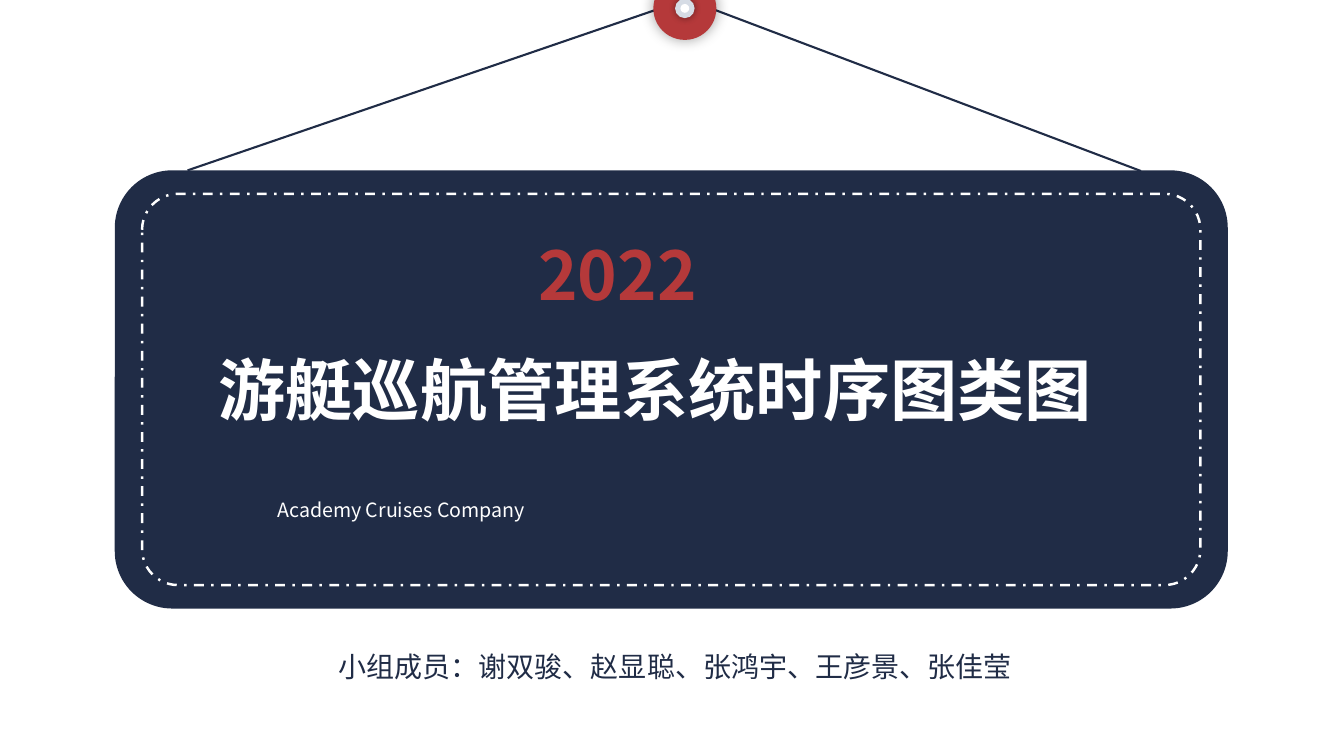
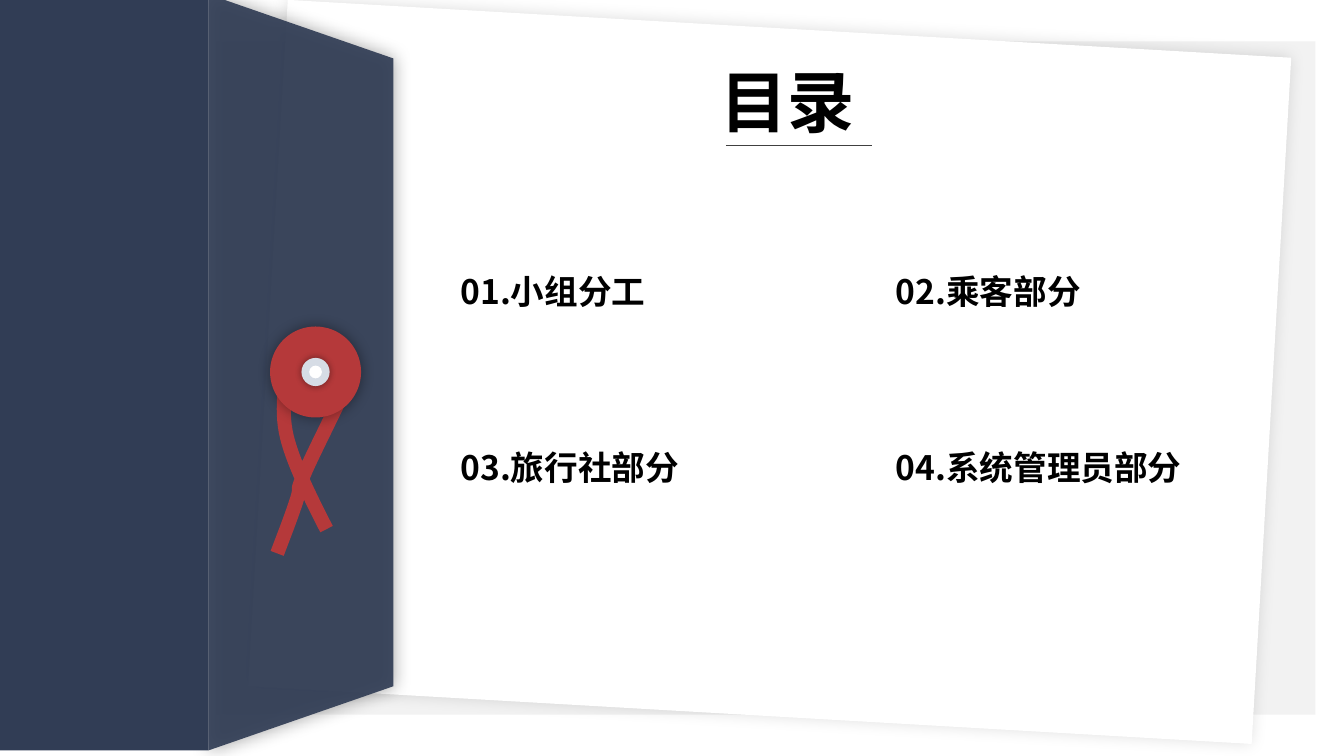
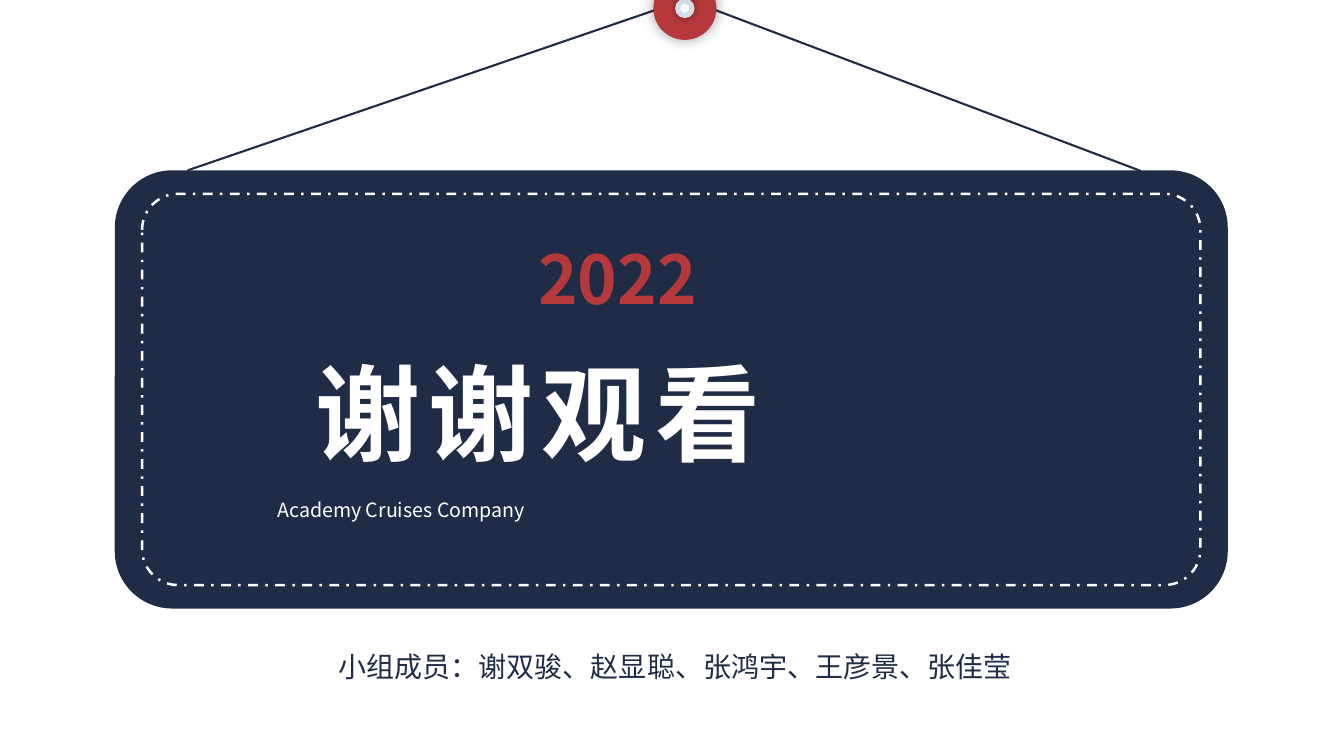
from lxml.etree import SubElement
from pptx import Presentation
from pptx.dml.color import RGBColor
from pptx.enum.dml import MSO_LINE_DASH_STYLE as DASH
from pptx.enum.shapes import MSO_CONNECTOR as CONNECTOR, MSO_SHAPE as SHAPE
from pptx.enum.text import MSO_AUTO_SIZE as AUTO_SIZE, PP_ALIGN as ALIGN
from pptx.oxml.ns import qn
from pptx.util import Pt

NAVY = RGBColor(0x20, 0x2C, 0x46)
FOLDER = RGBColor(0x31, 0x3D, 0x55)
RED = RGBColor(0xB5, 0x39, 0x3A)
SILVER = RGBColor(0xD6, 0xDC, 0xE5)
PALE = RGBColor(0xF2, 0xF2, 0xF2)
RULE = RGBColor(0x40, 0x40, 0x40)
WHITE = RGBColor(0xFF, 0xFF, 0xFF)
BLACK = RGBColor(0, 0, 0)
FONT = "Noto Sans CJK SC"
MEMBERS = "小组成员：谢双骏、赵显聪、张鸿宇、王彦景、张佳莹"
CHAPTERS = ["小组分工", "乘客部分", "旅行社部分", "系统管理员部分"]
STRING_START = (7.9, 112.3)
STRING_CURVES = [
    ((-3.6, 90), (-14.4, 67.7), (-19.4, 50.4)),
    ((-24.5, 33.1), (-22.3, 18.7), (-21.6, 6.5)),
    ((-20.9, -5), (-20.2, -16.6), (-14.4, -20.2)),
    ((-8.6, -24.5), (6.5, -20.2), (13, -17.3)),
    ((19.4, -14.4), (22.3, -7.9), (23.8, -2.9)),
    ((24.5, 2.9), (24.5, 2.2), (19.4, 15.1)),
    ((13.7, 28.1), (-3.6, 61.9), (-8.6, 74.2)),
    ((-14.4, 87.1), (-10.1, 80.6), (-13, 90)),
    ((-15.8, 99.4), (-21.6, 114.5), (-27.4, 129.6)),
]


def add_box(slide, kind, box, fill=None, adjust=None, shadow=None):
    """Add a preset shape without outline; shadow is (opacity %, blur)."""
    shape = slide.shapes.add_shape(kind, *map(Pt, box))
    shape.shadow.inherit = False
    shape.line.fill.background()
    if fill is None:
        shape.fill.background()
    else:
        shape.fill.solid()
        shape.fill.fore_color.rgb = fill
    if adjust is not None:
        shape.adjustments[0] = adjust
    if shadow:
        opacity, blur = shadow
        effects = shape._element.spPr.find(qn("a:effectLst"))
        outer = SubElement(effects, qn("a:outerShdw"), blurRad=str(Pt(blur)),
                           dist="0", dir="0", algn="ctr", rotWithShape="0")
        color = SubElement(outer, qn("a:srgbClr"), val=str(BLACK))
        SubElement(color, qn("a:alpha"), val=str(opacity * 1000))
    return shape


def add_text(slide, box, text, size, color, bold=False, align=ALIGN.JUSTIFY, spacing=0):
    """Add one paragraph of text in a box."""
    frame = slide.shapes.add_textbox(*map(Pt, box)).text_frame
    frame.word_wrap = True
    frame.auto_size = AUTO_SIZE.SHAPE_TO_FIT_TEXT
    paragraph = frame.paragraphs[0]
    paragraph.text = text
    paragraph.alignment = align
    font = paragraph.font
    font.size, font.bold, font.name = Pt(size), bold, FONT
    font.color.rgb = color
    properties = paragraph._p.pPr.find(qn("a:defRPr"))
    SubElement(properties, qn("a:ea"), typeface=FONT)
    if spacing:
        properties.set("spc", str(spacing * 100))


def add_line(slide, start, end, color, width):
    """Add a straight line between two points."""
    line = slide.shapes.add_connector(CONNECTOR.STRAIGHT, *map(Pt, start + end))
    line.line.color.rgb = color
    line.line.width = Pt(width)
    SubElement(line._element.spPr, qn("a:effectLst"))


def add_button(slide, center, diameter):
    """Draw the red button as three concentric discs."""
    x, y = center
    discs = [(1, RED, (39, 10)), (0.31, SILVER, (40, 5)), (0.14, WHITE, None)]
    for ratio, color, shadow in discs:
        size = diameter * ratio
        add_box(slide, SHAPE.OVAL, (x - size / 2, y - size / 2, size, size),
                color, shadow=shadow)


def curve_points(start, curves, steps=12):
    """List the points along a chain of cubic curves."""
    points = [start]
    for first, second, end in curves:
        for step in range(1, steps + 1):
            t = step / steps
            u = 1 - t
            points.append(tuple(
                u ** 3 * a + 3 * u * u * t * b + 3 * u * t * t * c + t ** 3 * d
                for a, b, c, d in zip(start, first, second, end)))
        start = end
    return points


def add_string(slide, center):
    """Draw the red string wound around the button center."""
    x, y = center
    points = [(Pt(x + dx), Pt(y + dy))
              for dx, dy in curve_points(STRING_START, STRING_CURVES)]
    builder = slide.shapes.build_freeform(*points[0])
    builder.add_line_segments(points[1:], close=False)
    string = builder.convert_to_shape()
    string.shadow.inherit = False
    string.fill.background()
    string.line.color.rgb = RED
    string.line.width = Pt(10)


def add_sign(slide, box):
    """Draw the hanging sign with its stitched border, ropes and button."""
    left, top, width, height = box
    add_box(slide, SHAPE.ROUNDED_RECTANGLE, box, NAVY, 0.131)
    stitch = add_box(slide, SHAPE.ROUNDED_RECTANGLE,
                     (left + 19.5, top + 16.75, width - 39, height - 33.5), adjust=0.092)
    stitch.line.color.rgb = WHITE
    stitch.line.width = Pt(1.75)
    stitch.line.dash_style = DASH.DASH_DOT
    add_line(slide, (left + 52, top), (left + 407, 0), NAVY, 1.5)
    add_line(slide, (left + 410, 0), (left + 733, top + 0.5), NAVY, 1.5)
    add_button(slide, (left + 407.2, 6), 45)


def add_sign_slide(presentation, title, title_box, size, year_top, spacing=0):
    """Build a slide with the sign, its title and the team below."""
    slide = presentation.slides.add_slide(presentation.slide_layouts[6])
    left, top, width, height = sign = (82, 121.7, 795, 313)
    add_sign(slide, sign)
    x, y, title_width, title_height = title_box
    add_text(slide, (left + x, top + y, title_width, title_height),
             title, size, WHITE, True, spacing=spacing)
    add_text(slide, (left + 295.3, top + year_top, 206, 65.5), "2022", 48, RED, True)
    add_text(slide, (left + 109, top + 230.4, 577.5, 24.5),
             "Academy Cruises Company", 14, WHITE)
    add_text(slide, (left + 144.8, top + height + 25.4, 511, 31.5),
             MEMBERS, 20, NAVY, align=ALIGN.CENTER)


def add_folder(slide, box):
    """Draw the folder: spine, translucent flap, string and button."""
    left, top, width, height = box
    spine = 149
    flap = width - spine
    center_x, center_y = left + spine + flap / 2, top + height / 2
    cover = add_box(slide, SHAPE.TRAPEZOID,
                    (center_x - height / 2, center_y - flap / 2, height, flap),
                    FOLDER, 0.347, (36, 13))
    cover.rotation = 90
    color = cover._element.spPr.find(qn("a:solidFill")).find(qn("a:srgbClr"))
    SubElement(color, qn("a:alpha"), val="92000")
    add_box(slide, SHAPE.RECTANGLE, (left, top, spine, height), FOLDER)
    button = (left + 225.4, center_y - 0.3)
    add_string(slide, button)
    add_button(slide, button, 65)


def add_contents(slide, box):
    """Place the heading and the two-column chapter list."""
    left, top, width, height = box
    add_text(slide, (left + 185.8, top, 123, 65.5), "目录", 48, BLACK, True)
    add_line(slide, (left + 196.6, top + 64.2), (left + 301, top + 64.2), RULE, 0.75)
    for index, chapter in enumerate(CHAPTERS):
        row, column = divmod(index, 2)
        add_text(slide, (left + column * 311, top + 150.5 + row * 125.3, 227.5, 36),
                 f"{index + 1:02}.{chapter}", 24, BLACK, True)


def add_contents_slide(presentation):
    """Build the contents slide with paper, folder and chapters."""
    slide = presentation.slides.add_slide(presentation.slide_layouts[6])
    add_box(slide, SHAPE.RECTANGLE, (154, 29.5, 785.5, 481), PALE)
    paper = add_box(slide, SHAPE.RECTANGLE, (190.8, 20.2, 718, 491), WHITE, shadow=(13, 11))
    paper.rotation = 3.3
    add_folder(slide, (0, -4, 281, 540))
    add_contents(slide, (321.8, 39.6, 538.5, 311.8))


def main():
    """Build and save the presentation."""
    presentation = Presentation()
    presentation.slide_width, presentation.slide_height = Pt(960), Pt(540)
    add_sign_slide(presentation, "游艇巡航管理系统时序图类图",
                   (67, 123.8, 661.7, 65.5), 48, 41.7)
    add_contents_slide(presentation)
    add_sign_slide(presentation, "谢谢观看", (136.2, 123.8, 523.4, 98), 75, 44.6, spacing=6)
    presentation.save("out.pptx")


if __name__ == "__main__":
    main()
